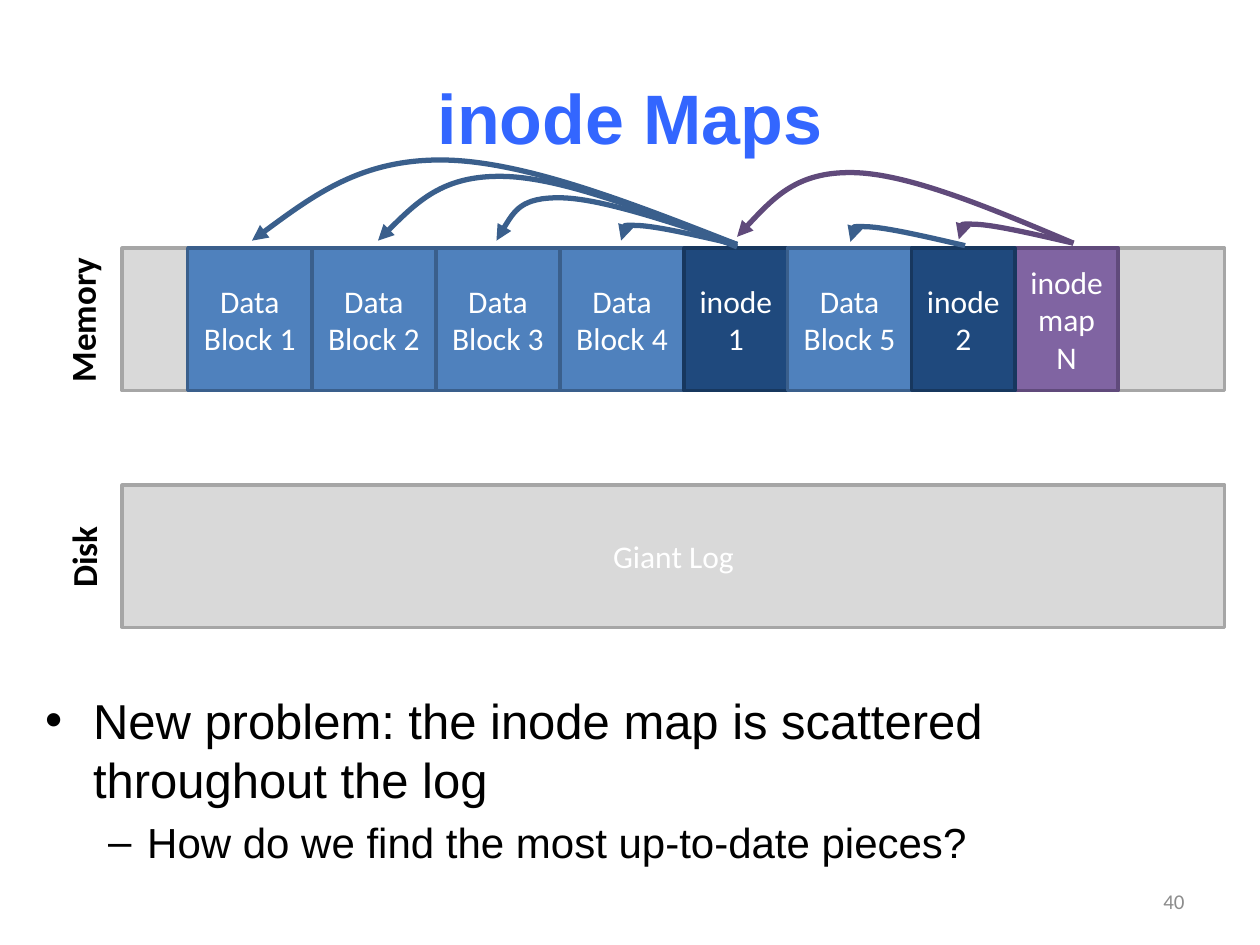
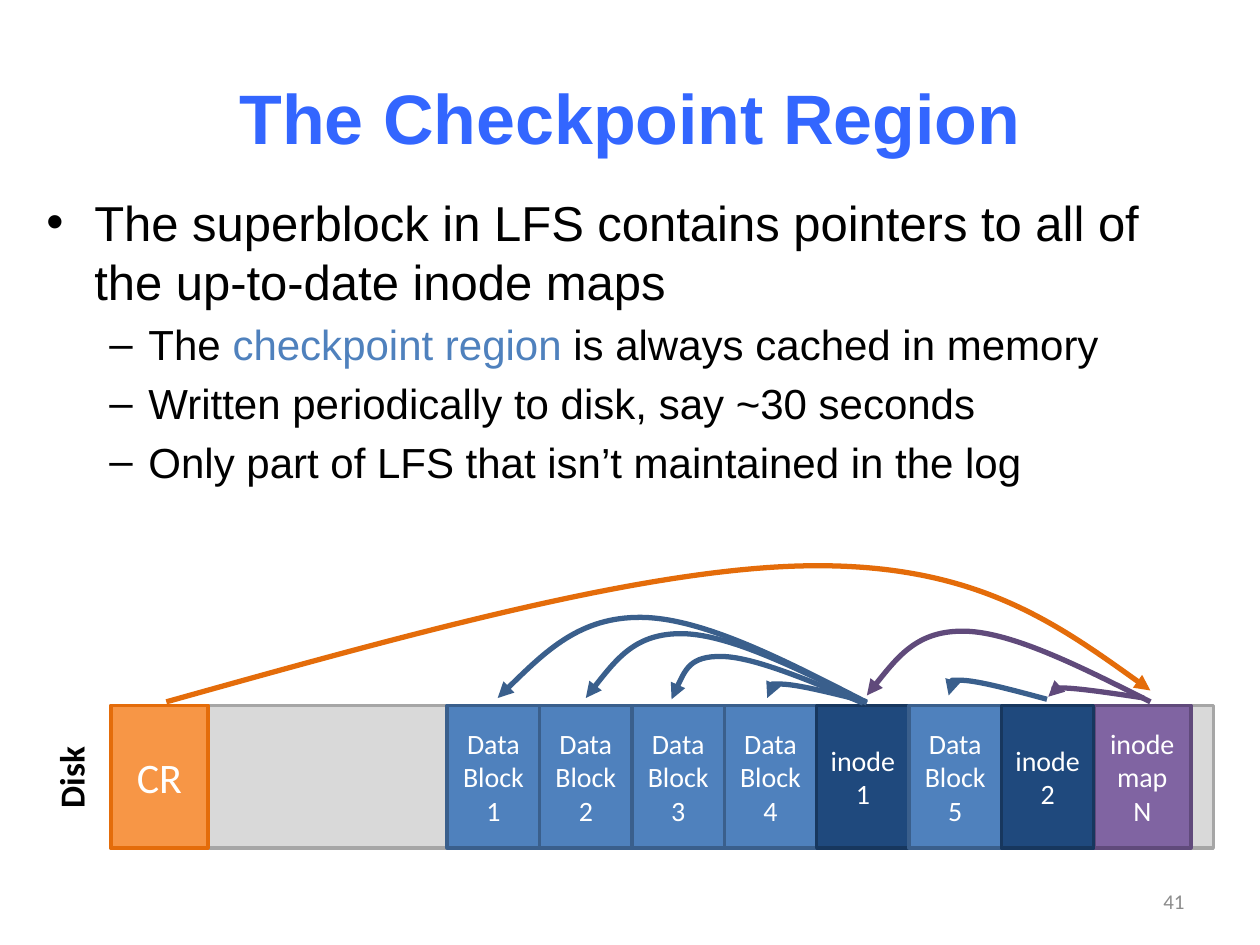
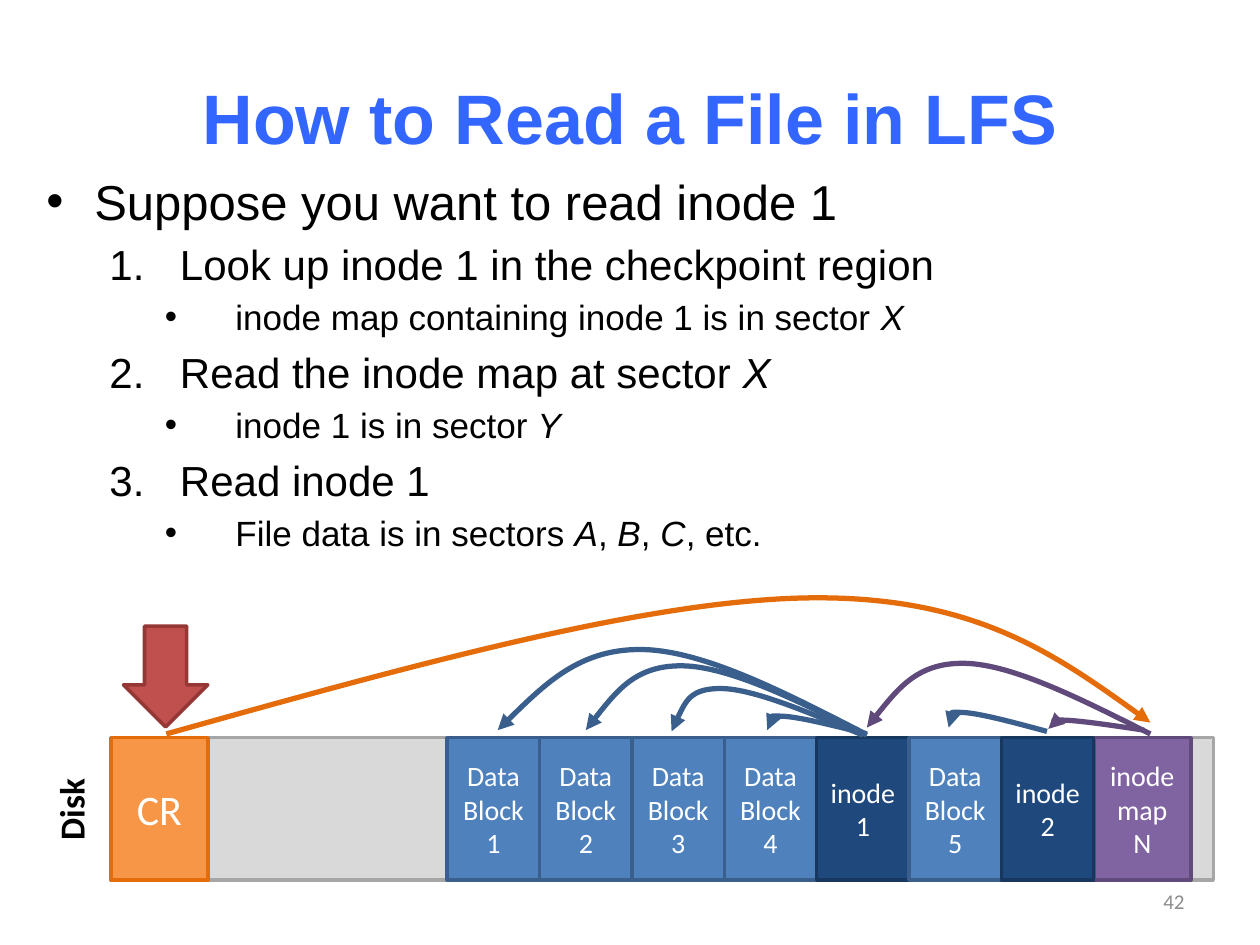
"""Three slides on inode maps and the checkpoint region of a log-structured file system."""
import itertools
from dataclasses import dataclass
from typing import NamedTuple

import lxml.etree
import pptx
import pptx.dml.color
import pptx.enum.shapes
import pptx.enum.text
import pptx.oxml.ns
import pptx.util

qn = pptx.oxml.ns.qn
ALIGN = pptx.enum.text.PP_ALIGN
ANCHOR = pptx.enum.text.MSO_ANCHOR
SHAPE = pptx.enum.shapes.MSO_SHAPE

SLIDE_WIDTH = pptx.util.Inches(10)
SLIDE_HEIGHT = pptx.util.Inches(7.5)
GRID_COLUMNS = 100  # square grid: 100 columns by 75 rows
CELL = SLIDE_WIDTH // GRID_COLUMNS

HEADING_FONT = "Arial"
DIAGRAM_FONT = "Calibri"
BAND_WIDTH, BAND_HEIGHT = 87.5, 11.3

COLORS = {
    "title": "3366FF", "text": "000000", "white": "FFFFFF", "page": "8C8C8C",
    "band": "D9D9D9", "band_line": "A6A6A6",
    "data": "4F81BD", "data_line": "3A5F8C",
    "inode": "1F497D", "inode_line": "17375E",
    "map": "8064A2", "map_line": "604A7B",
    "checkpoint": "F79646", "checkpoint_line": "E46C0A",
    "marker": "C0504D", "marker_line": "953735",
}


class Box(NamedTuple):
    """Left, top, width and height in grid cells."""
    left: float
    top: float
    width: float
    height: float


class Point(NamedTuple):
    column: float
    row: float


class Run(NamedTuple):
    text: str
    italic: bool = False
    color: str = "text"


class Item(NamedTuple):
    """One outline paragraph; style is a key of OUTLINE."""
    style: str
    runs: list[Run]


class OutlineStyle(NamedTuple):
    level: int
    size: int
    margin: float
    indent: float
    bullet: str


class Block(NamedTuple):
    text: str
    kind: str


class Pointer(NamedTuple):
    """Curved arrow; rows count from the top of the band."""
    kind: str
    start: Point
    apex: Point
    end: Point


@dataclass(frozen=True)
class Log:
    band_left: float
    label: str
    label_left: float
    first_block: float
    block_widths: dict[str, float]
    text_size: int
    pointers: list[Pointer]


NUMBERED = "arabicPeriod"
OUTLINE = {
    "point": OutlineStyle(0, 28, 3.8, -3.8, "•"),
    "dash": OutlineStyle(1, 24, 8.1, -3.1, "–"),
    "step": OutlineStyle(1, 24, 10.6, -5.6, NUMBERED),
    "detail": OutlineStyle(2, 20, 15, -5.6, "•"),
}

BLOCKS = [
    *(Block(f"Data Block {number}", "data") for number in range(1, 5)),
    Block("inode\n1", "inode"),
    Block("Data Block 5", "data"),
    Block("inode\n2", "inode"),
    Block("inode\nmap\nN", "map"),
]

MEMORY_LOG = Log(
    9.7, "Memory", -0.6, 14.9, {"data": 9.85, "inode": 8.2, "map": 8.2}, 18,
    [
        Pointer("data", Point(58.5, -0.3), Point(35.1, -7), Point(20, -0.6)),
        Pointer("data", Point(58.5, -0.1), Point(39.9, -5.7), Point(30, -0.6)),
        Pointer("data", Point(58.5, -0.3), Point(44.5, -4), Point(39.4, -0.6)),
        Pointer("data", Point(58.4, -0.3), Point(50.6, -1.8), Point(49.3, -0.6)),
        Pointer("data", Point(76.6, -0.2), Point(68.8, -1.7), Point(67.5, -0.5)),
        Pointer("map", Point(85.2, -0.4), Point(77.4, -1.9), Point(76.1, -0.7)),
        Pointer("map", Point(85.2, -0.4), Point(67.7, -6), Point(58.5, -0.9)),
    ],
)
DISK_LOG = Log(
    8.8, "Disk", -1.5, 35.5, {"data": 7.33, "inode": 7.33, "map": 7.7}, 16,
    [
        Pointer("data", Point(68.7, -0.3), Point(50.9, -7), Point(39.5, -0.6)),
        Pointer("data", Point(68.8, -0.2), Point(54.2, -5.7), Point(46.5, -0.6)),
        Pointer("data", Point(68.5, -0.2), Point(57.3, -3.9), Point(53.3, -0.5)),
        Pointer("data", Point(68.8, -0.3), Point(62.1, -1.7), Point(60.9, -0.6)),
        Pointer("data", Point(83.1, -0.5), Point(76.4, -2), Point(75.3, -0.8)),
        Pointer("map", Point(90.8, -0.6), Point(84.3, -1.4), Point(83.2, -0.7)),
        Pointer("map", Point(91.3, -0.3), Point(76.6, -5.9), Point(68.8, -0.8)),
    ],
)
CHECKPOINT_POINTER = Pointer(
    "checkpoint", Point(13.2, -0.3), Point(64.3, -11.1), Point(91.3, -1.2))


def cells(count: float) -> int:
    return round(count * CELL)


def rgb(name: str):
    return pptx.dml.color.RGBColor.from_string(COLORS[name])


def add_run(paragraph, text: str, *, size: int, font: str, color: str,
            bold: bool = False, italic: bool = False) -> None:
    run = paragraph.add_run()
    run.text = text
    run.font.size = pptx.util.Pt(size)
    run.font.name = font
    run.font.bold = bold
    run.font.italic = italic
    run.font.color.rgb = rgb(color)


def write(frame, text: str, *, align=ALIGN.CENTER, anchor=ANCHOR.MIDDLE, **font_format) -> None:
    """Fill a text frame, one paragraph for each line of text."""
    frame.word_wrap = True
    frame.vertical_anchor = anchor
    for index, line in enumerate(text.split("\n")):
        paragraph = frame.add_paragraph() if index else frame.paragraphs[0]
        paragraph.alignment = align
        add_run(paragraph, line, **font_format)


def add_text(slide, box: Box, text: str, **text_format):
    area = slide.shapes.add_textbox(*map(cells, box))
    write(area.text_frame, text, **text_format)
    return area


def paint(shape, kind: str) -> None:
    shape.shadow.inherit = False
    shape.fill.solid()
    shape.fill.fore_color.rgb = rgb(kind)
    shape.line.color.rgb = rgb(f"{kind}_line")
    shape.line.width = pptx.util.Pt(2)


def add_block(slide, box: Box, kind: str, text: str = "", size: int = 18,
              preset=SHAPE.RECTANGLE) -> None:
    block = slide.shapes.add_shape(preset, *map(cells, box))
    paint(block, kind)
    if text:
        write(block.text_frame, text, size=size, font=DIAGRAM_FONT, color="white")


def add_pointer(slide, pointer: Pointer, top: float) -> None:
    """Draw a smooth curve through start, apex and end, with an arrowhead at the end."""
    start, apex, end = pointer.start, pointer.apex, pointer.end
    reach = Point((end.column - start.column) / 6, (end.row - start.row) / 6)
    before = Point(apex.column - reach.column, apex.row - reach.row)
    after = Point(apex.column + reach.column, apex.row + reach.row)

    def midpoint(a: Point, b: Point) -> Point:
        return Point((a.column + b.column) / 2, (a.row + b.row) / 2)

    def place(point: Point) -> tuple[int, int]:
        return cells(point.column), cells(top + point.row)

    controls = [midpoint(start, before), before, apex, after, midpoint(after, end), end]
    builder = slide.shapes.build_freeform(*place(start))
    builder.add_line_segments([place(point) for point in controls], close=False)
    curve = builder.convert_to_shape()
    curve.shadow.inherit = False
    curve.fill.background()
    curve.line.color.rgb = rgb(f"{pointer.kind}_line")
    curve.line.width = pptx.util.Pt(3)

    outline = next(curve._element.iter(qn("a:path")))
    segments = outline.findall(qn("a:lnTo"))
    for first in range(0, len(segments), 3):
        bezier = lxml.etree.SubElement(outline, qn("a:cubicBezTo"))
        for segment in segments[first:first + 3]:
            bezier.append(segment[0])
            outline.remove(segment)
    lxml.etree.SubElement(curve.line._get_or_add_ln(), qn("a:tailEnd"), type="triangle")


def add_outline(slide, box: Box, items: list[Item]) -> None:
    frame = slide.shapes.add_textbox(*map(cells, box)).text_frame
    frame.word_wrap = True
    for index, item in enumerate(items):
        style = OUTLINE[item.style]
        paragraph = frame.add_paragraph() if index else frame.paragraphs[0]
        paragraph.level = style.level
        if index:
            paragraph.space_before = pptx.util.Pt(style.size * 0.2)
        properties = paragraph._p.get_or_add_pPr()
        properties.set("marL", str(cells(style.margin)))
        properties.set("indent", str(cells(style.indent)))
        lxml.etree.SubElement(properties, qn("a:buFont"), typeface=HEADING_FONT)
        if style.bullet == NUMBERED:
            lxml.etree.SubElement(properties, qn("a:buAutoNum"), type=NUMBERED)
        else:
            lxml.etree.SubElement(properties, qn("a:buChar"), char=style.bullet)
        for run in item.runs:
            add_run(paragraph, run.text, size=style.size, font=HEADING_FONT,
                    color=run.color, italic=run.italic)


def add_band(slide, left: float, top: float, label: str, label_left: float,
             text: str = "") -> None:
    add_block(slide, Box(left, top, BAND_WIDTH, BAND_HEIGHT), "band", text)
    side_label = add_text(slide, Box(label_left, top + 3.5, 14.3, 4.4), label, size=20,
                          font=DIAGRAM_FONT, color="text", bold=True, anchor=ANCHOR.TOP)
    side_label.rotation = 270
    side_label.text_frame.auto_size = pptx.enum.text.MSO_AUTO_SIZE.SHAPE_TO_FIT_TEXT


def add_log(slide, log: Log, top: float) -> None:
    add_band(slide, log.band_left, top, log.label, log.label_left)
    widths = [log.block_widths[block.kind] for block in BLOCKS]
    lefts = itertools.accumulate(widths[:-1], initial=log.first_block)
    placed = list(zip(BLOCKS, lefts, widths))
    for block, left, width in placed[-1:] + placed[:-1]:  # the inode map lies beneath
        add_block(slide, Box(left, top, width, BAND_HEIGHT), block.kind,
                  block.text, log.text_size)
    for pointer in log.pointers:
        add_pointer(slide, pointer, top)


def add_checkpointed_disk(slide, top: float) -> None:
    add_log(slide, DISK_LOG, top)
    add_block(slide, Box(DISK_LOG.band_left, top, 7.7, BAND_HEIGHT), "checkpoint", "CR", 24)
    add_pointer(slide, CHECKPOINT_POINTER, top)


def start_slide(deck, title: str, number: int):
    slide = deck.slides.add_slide(deck.slide_layouts[6])
    add_text(slide, Box(5, 3, 90, 12.5), title, size=40, font=HEADING_FONT,
             color="title", bold=True)
    add_text(slide, Box(71.7, 69.5, 23.3, 4), str(number), size=12, font=DIAGRAM_FONT,
             color="page", align=ALIGN.RIGHT)
    return slide


def build_inode_maps(deck) -> None:
    slide = start_slide(deck, "inode Maps", 40)
    add_band(slide, MEMORY_LOG.band_left, 38.5, "Disk", -0.5, "Giant Log")
    add_log(slide, MEMORY_LOG, 19.7)
    add_outline(slide, Box(2.6, 54.3, 94.9, 19.7), [
        Item("point", [Run("New problem: the inode map is scattered throughout the log")]),
        Item("dash", [Run("How do we find the most up-to-date pieces?")]),
    ])


def build_checkpoint_region(deck) -> None:
    slide = start_slide(deck, "The Checkpoint Region", 41)
    add_outline(slide, Box(2.7, 14.8, 94.9, 30.4), [
        Item("point", [Run("The superblock in LFS contains pointers to all of "
                           "the up-to-date inode maps")]),
        Item("dash", [Run("The "), Run("checkpoint region", color="data"),
                      Run(" is always cached in memory")]),
        Item("dash", [Run("Written periodically to disk, say ~30 seconds")]),
        Item("dash", [Run("Only part of LFS that isn’t maintained in the log")]),
    ])
    add_checkpointed_disk(slide, 56)


def build_file_read(deck) -> None:
    slide = start_slide(deck, "How to Read a File in LFS", 42)
    add_outline(slide, Box(2.7, 13.1, 94.9, 37.1), [
        Item("point", [Run("Suppose you want to read inode 1")]),
        Item("step", [Run("Look up inode 1 in the checkpoint region")]),
        Item("detail", [Run("inode map containing inode 1 is in sector "), Run("X", True)]),
        Item("step", [Run("Read the inode map at sector "), Run("X", True)]),
        Item("detail", [Run("inode 1 is in sector "), Run("Y", True)]),
        Item("step", [Run("Read inode 1")]),
        Item("detail", [Run("File data is in sectors "), Run("A", True), Run(", "),
                        Run("B", True), Run(", "), Run("C", True), Run(", etc.")]),
    ])
    add_checkpointed_disk(slide, 58.55)
    add_block(slide, Box(9.8, 49.7, 6.7, 8), "marker", preset=SHAPE.DOWN_ARROW)


def main() -> None:
    deck = pptx.Presentation()
    deck.slide_width, deck.slide_height = SLIDE_WIDTH, SLIDE_HEIGHT
    build_inode_maps(deck)
    build_checkpoint_region(deck)
    build_file_read(deck)
    deck.save("out.pptx")


if __name__ == "__main__":
    main()
